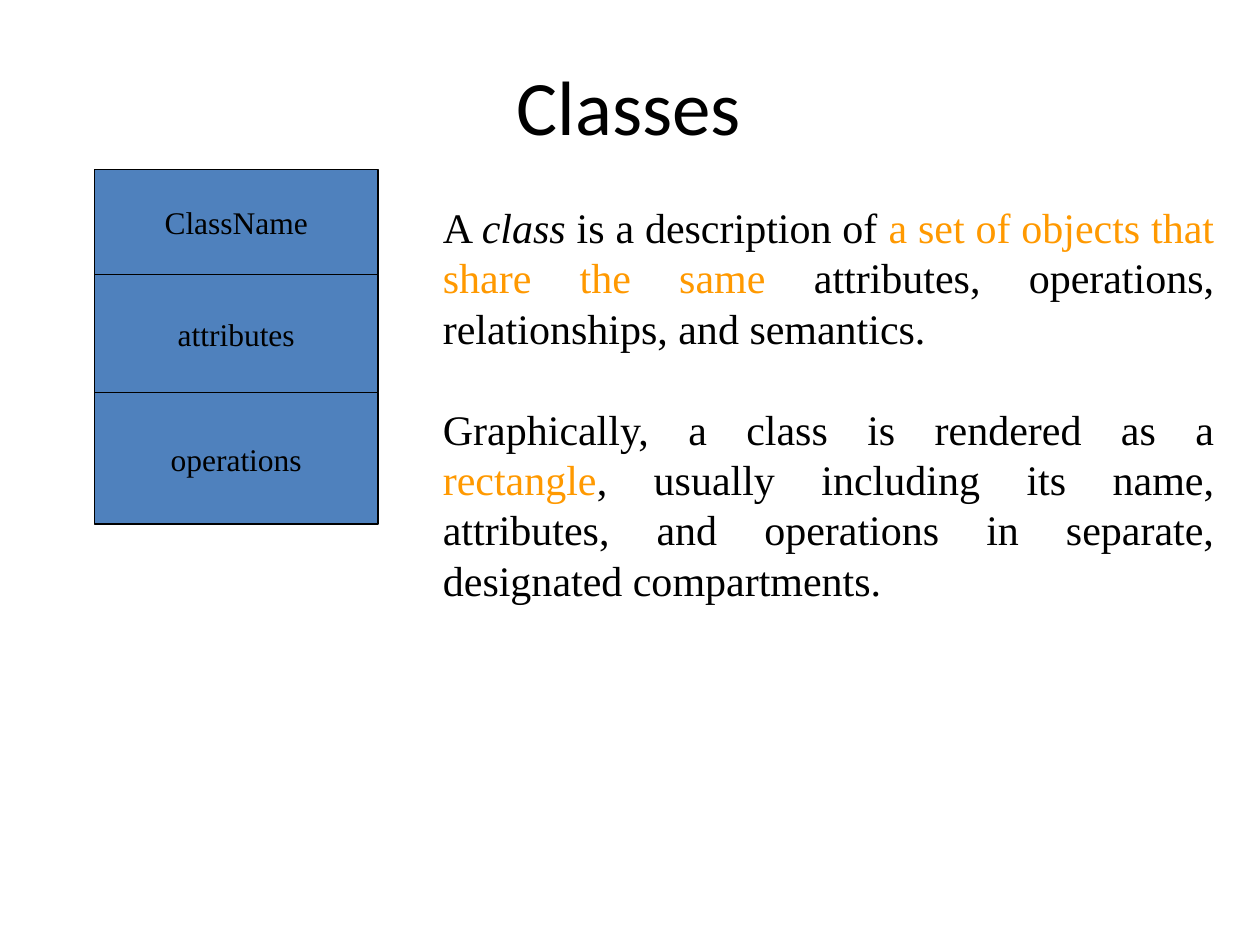
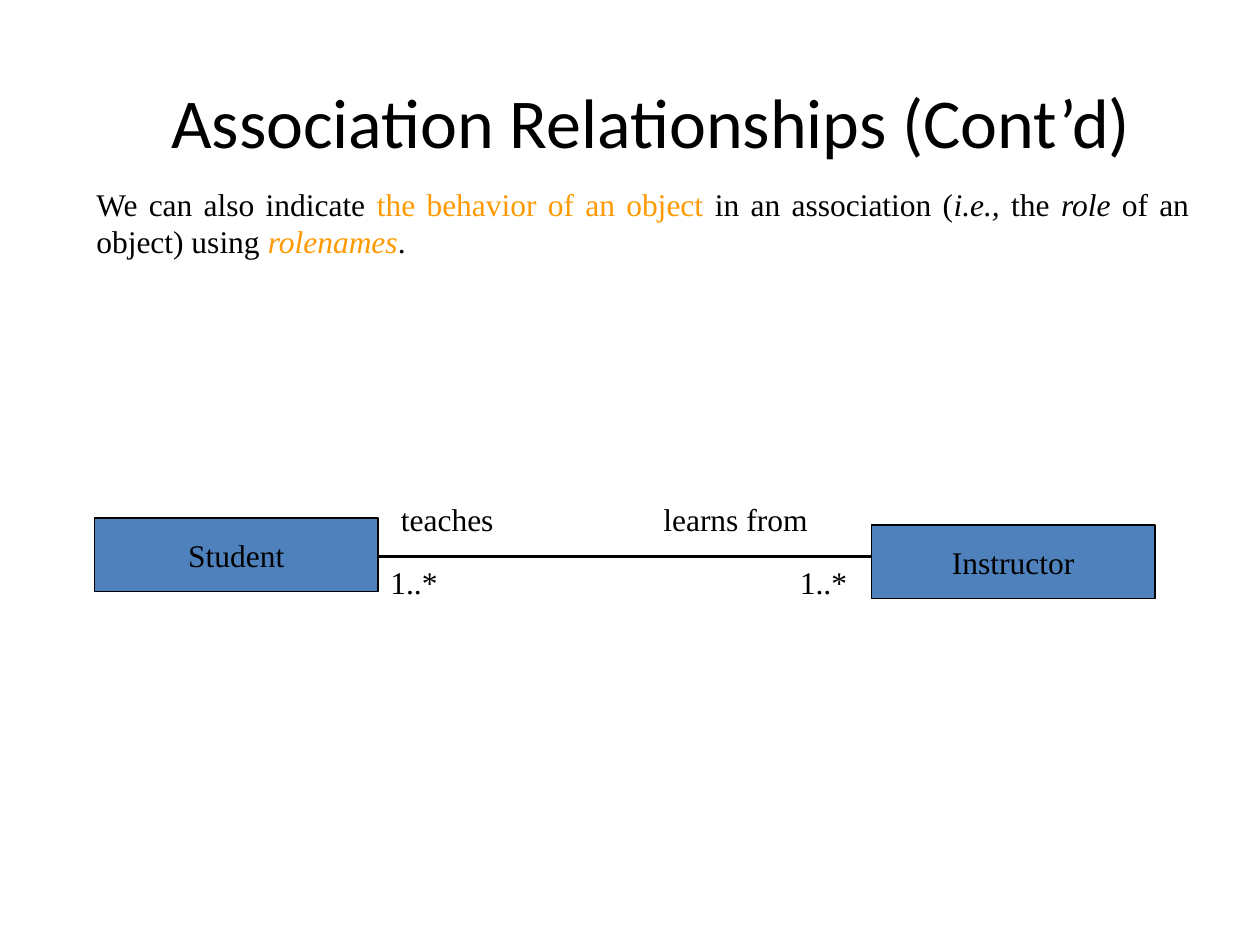
from lxml import etree
from pptx import Presentation
from pptx.dml.color import RGBColor
from pptx.enum import shapes, text
from pptx.oxml import ns
from pptx.util import Pt

BLACK = RGBColor(0x00, 0x00, 0x00)
BLUE = RGBColor(0x4F, 0x81, 0xBD)
ORANGE = RGBColor(0xFF, 0x99, 0x00)
TITLE_FONT = "Calibri"
BODY_FONT = "Times New Roman"
LABEL_SIZE = 18
CLASS_WIDTH = 162


def style(paragraph, size, alignment, font=BODY_FONT):
    paragraph.alignment = alignment
    paragraph.font.name = font
    paragraph.font.size = Pt(size)
    paragraph.font.color.rgb = BLACK


def add_text(slide, box, paragraphs, size, alignment, font=BODY_FONT, gap=0):
    """Each paragraph is a list of (words, marks); marks: i italic, o orange."""
    shape = slide.shapes.add_textbox(*map(Pt, box))
    frame = shape.text_frame
    frame.word_wrap = True
    for index, runs in enumerate(paragraphs):
        paragraph = frame.add_paragraph() if index else frame.paragraphs[0]
        style(paragraph, size, alignment, font)
        if index:
            paragraph.space_before = Pt(gap)
        for words, marks in runs:
            run = paragraph.add_run()
            run.text = words
            if "i" in marks:
                run.font.italic = True
            if "o" in marks:
                run.font.color.rgb = ORANGE
    return frame


def add_title(slide, box, title, size):
    frame = add_text(slide, box, [[(title, "")]], size,
                     text.PP_ALIGN.CENTER, TITLE_FONT)
    frame.vertical_anchor = text.MSO_ANCHOR.MIDDLE


def add_label(slide, box, label):
    add_text(slide, box, [[(label, "")]], LABEL_SIZE, text.PP_ALIGN.LEFT)


def add_compartment(slide, left, top, height, name):
    shape = slide.shapes.add_shape(
        shapes.MSO_SHAPE.RECTANGLE,
        Pt(left), Pt(top), Pt(CLASS_WIDTH), Pt(height))
    shape.shadow.inherit = False
    shape.fill.solid()
    shape.fill.fore_color.rgb = BLUE
    shape.line.color.rgb = BLACK
    shape.line.width = Pt(0.75)
    frame = shape.text_frame
    frame.word_wrap = False
    frame.vertical_anchor = text.MSO_ANCHOR.MIDDLE
    frame.text = name
    style(frame.paragraphs[0], LABEL_SIZE, text.PP_ALIGN.CENTER)


def add_class_diagram(slide, left, top):
    """Stack the compartments, each a little taller than the one above."""
    height = 60
    for name in ("ClassName", "attributes", "operations"):
        add_compartment(slide, left, top, height, name)
        top += height
        height += 7.5


def add_association(slide, left, line_top, right):
    """Join two classes by a line whose ends carry a role and a multiplicity."""
    start, end = left + CLASS_WIDTH, right - CLASS_WIDTH
    line = slide.shapes.add_connector(
        shapes.MSO_CONNECTOR.STRAIGHT,
        Pt(start), Pt(line_top), Pt(end), Pt(line_top))
    line.line.color.rgb = BLACK
    line.line.width = Pt(2.25)
    etree.SubElement(line._element.spPr, ns.qn("a:effectLst"))

    add_compartment(slide, left, line_top - 22, 42, "Student")
    add_compartment(slide, end, line_top - 18, 42, "Instructor")
    for label_left in (start, end - 48):
        add_label(slide, (label_left, line_top, 54, 29), "1..*")
    add_label(slide, (start + 6, line_top - 36, 90, 29), "teaches")
    add_label(slide, (end - 126, line_top - 36, 126, 29), "learns from")


def build_classes(slide):
    add_title(slide, (52.5, 24, 614, 72), "Classes", 44)
    add_class_diagram(slide, 54, 97)
    add_text(slide, (246, 111.6, 455, 237.6), [
        [("A ", ""), ("class", "i"), (" is a description of ", ""),
         ("a set of objects that share the same ", "o"),
         ("attributes, operations, relationships, and semantics.", "")],
        [("Graphically, a class is rendered as a ", ""), ("rectangle", "o"),
         (", usually including its name, attributes, and operations in "
          "separate, designated compartments.", "")],
    ], 24, text.PP_ALIGN.JUSTIFY, gap=28.8)


def build_association(slide):
    add_title(slide, (48, 48, 648, 42), "Association Relationships (Cont’d)", 40)
    add_text(slide, (48, 102, 638.6, 50.4), [
        [("We can also indicate ", ""), ("the behavior of an object ", "o"),
         ("in an association (", ""), ("i.e.,", "i"), (" the ", ""),
         ("role ", "i"), ("of an object) using ", ""),
         ("rolenames", "io"), (".", "")],
    ], LABEL_SIZE, text.PP_ALIGN.JUSTIFY)
    add_association(slide, 54, 318, 660)


def main():
    presentation = Presentation()
    presentation.slide_width, presentation.slide_height = Pt(720), Pt(540)
    blank = presentation.slide_layouts[6]
    for build in (build_classes, build_association):
        build(presentation.slides.add_slide(blank))
    presentation.save("out.pptx")


if __name__ == "__main__":
    main()
